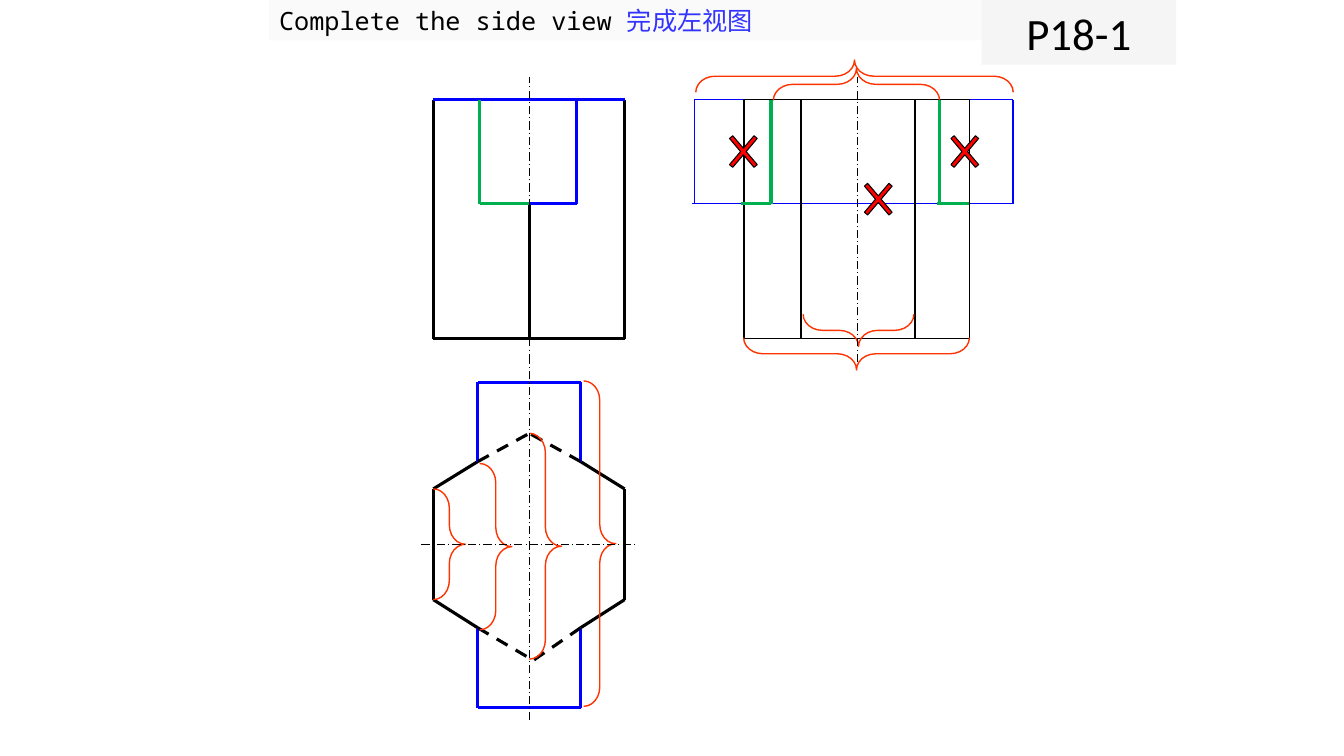
"""Build the slide on completing the side view of a hexagonal prism."""
from lxml import etree
from pptx import Presentation
from pptx.dml.color import RGBColor
from pptx.enum import dml, shapes, text
from pptx.oxml import ns
from pptx.util import Cm, Pt

BLACK = RGBColor(0x00, 0x00, 0x00)
BLUE = RGBColor(0x00, 0x00, 0xFF)
GREEN = RGBColor(0x00, 0xB0, 0x50)
ORANGE = RGBColor(0xFF, 0x33, 0x00)
RED = RGBColor(0xFF, 0x00, 0x00)
TITLE_BLUE = RGBColor(0x33, 0x33, 0xFF)
TITLE_FILL = RGBColor(0xFA, 0xFA, 0xFA)
PAGE_FILL = RGBColor(0xF5, 0xF5, 0xF5)

DASH = dml.MSO_LINE.DASH
AXIS = dml.MSO_LINE.LONG_DASH_DOT
THICK, THIN, FINE = 2.25, 1, 0.75

TOP, NOTCH, BASE = 2.51, 5.13, 8.53
LEFT, MID, RIGHT = 10.92, 13.34, 15.74
BAR_L, BAR_R = 12.04, 14.63
SLOT_L, SLOT_R = 12.09, 14.53
BAR_TOP, BAR_BASE = 9.63, 17.83
CUT_TOP, CUT_BASE = 11.63, 15.82
HEX_TOP, HEX_BASE = 12.32, 15.11
SIDE_L, SIDE_R, SIDE_MID = 18.75, 24.43, 21.62
WING_L, WING_R = 17.5, 25.53
CUT_L, CUT_R = 19.43, 23.67
EDGE_L, EDGE_R = 20.19, 23.06
BRACE = 0.81


def add_line(s, x1, y1, x2, y2, color, width, dash=None):
    """Draw one straight line."""
    c = s.shapes.add_connector(shapes.MSO_CONNECTOR.STRAIGHT,
                               Cm(x1), Cm(y1), Cm(x2), Cm(y2))
    c.line.color.rgb = color
    c.line.width = Pt(width)
    if dash:
        c.line.dash_style = dash
    etree.SubElement(c._element.spPr, ns.qn("a:effectLst"))


def add_lines(s, ends, color, width, dash=None):
    """Draw several lines of one style."""
    for end in ends:
        add_line(s, *end, color, width, dash)


def add_outline(s, kind, box, width, color=BLACK, fill=None):
    """Draw a preset shape with an outline and an optional fill."""
    sp = s.shapes.add_shape(kind, *map(Cm, box))
    sp.shadow.inherit = False
    sp.line.color.rgb = color
    sp.line.width = Pt(width)
    if fill is None:
        sp.fill.background()
    else:
        sp.fill.solid()
        sp.fill.fore_color.rgb = fill
    return sp


def add_brace(s, x, y, length, rotation=0):
    """Draw a dimension brace."""
    sp = add_outline(s, shapes.MSO_SHAPE.RIGHT_BRACE, (x, y, BRACE, length), THIN, ORANGE)
    sp.adjustments[0] = 0.6
    sp.adjustments[1] = 0.5
    sp.rotation = rotation


def add_cross(s, x, y):
    """Draw a red cross on an edge to remove."""
    sp = add_outline(s, shapes.MSO_SHAPE.MATH_MULTIPLY, (x, y, 1.19, 1.4), FINE, fill=RED)
    sp.adjustments[0] = 0.09


def add_run(p, words, size, font, color):
    """Append a run with its font for Latin and East Asian text."""
    r = p.add_run()
    r.text = words
    r.font.size = Pt(size)
    r.font.name = font
    r.font.color.rgb = color
    etree.SubElement(r._r.get_or_add_rPr(), ns.qn("a:ea")).set("typeface", font)


def format_label(sp, box, fill, align):
    """Place and fill a label and return its first paragraph."""
    sp.left, sp.top, sp.width, sp.height = map(Cm, box)
    sp.fill.solid()
    sp.fill.fore_color.rgb = fill
    tf = sp.text_frame
    tf.word_wrap = True
    tf.auto_size = text.MSO_AUTO_SIZE.NONE
    tf.vertical_anchor = text.MSO_ANCHOR.MIDDLE
    p = tf.paragraphs[0]
    p.alignment = align
    return p


def draw_title(s):
    """Write the heading."""
    p = format_label(s.shapes.title, (6.78, 0, 17.96, 1.02), TITLE_FILL, text.PP_ALIGN.LEFT)
    add_run(p, "Complete the side view ", 18, "Noto Sans Mono", BLACK)
    add_run(p, "完成左视图", 18, "Noto Sans CJK SC", TITLE_BLUE)


def draw_page_label(s):
    """Write the exercise number."""
    sp = s.shapes.add_textbox(0, 0, 0, 0)
    p = format_label(sp, (24.74, 0, 4.9, 1.63), PAGE_FILL, text.PP_ALIGN.CENTER)
    add_run(p, "P18-1", 32, "Calibri", BLACK)


def draw_top_view(s):
    """Draw the hexagon and the bar crossing it."""
    for corner, cut, tip, end in ((HEX_TOP, CUT_TOP, (MID, 10.92), BAR_TOP),
                                  (HEX_BASE, CUT_BASE, (13.44, 16.64), BAR_BASE)):
        for side, bar in ((LEFT, BAR_L), (RIGHT, BAR_R)):
            add_line(s, side, corner, bar, cut, BLACK, THICK)
            add_line(s, bar, cut, bar, end, BLUE, THICK)
            add_line(s, bar, cut, *tip, BLACK, THICK, DASH)
        add_line(s, BAR_L, end, BAR_R, end, BLUE, THICK)
    add_lines(s, [(x, HEX_TOP, x, HEX_BASE) for x in (LEFT, RIGHT)], BLACK, THICK)


def draw_front_view(s):
    """Draw the prism with its slot."""
    add_lines(s, [(LEFT, BASE, LEFT, TOP), (RIGHT, BASE, RIGHT, TOP),
                  (LEFT, BASE, RIGHT, BASE), (MID, BASE, MID, NOTCH)], BLACK, THICK)
    add_lines(s, [(LEFT, TOP, RIGHT, TOP), (SLOT_L, NOTCH, SLOT_L, TOP),
                  (SLOT_R, NOTCH, SLOT_R, TOP), (SLOT_L, NOTCH, SLOT_R, NOTCH)], BLUE, THICK)


def draw_side_view(s):
    """Draw the side view with the edges still to be removed."""
    add_lines(s, [(WING_L, NOTCH, WING_L, TOP), (WING_L, TOP, WING_R, TOP),
                  (WING_R, NOTCH, WING_R, TOP), (17.45, NOTCH, WING_R, NOTCH)], BLUE, THIN)
    add_lines(s, [(x, TOP, x, BASE) for x in (EDGE_L, EDGE_R)], BLACK, THIN)
    add_outline(s, shapes.MSO_SHAPE.RECTANGLE,
                (SIDE_L, TOP, SIDE_R - SIDE_L, BASE - TOP), THIN)


def draw_marks(s):
    """Add the braces, crosses, axes and green cut edges."""
    for brace in ((MID, 10.92, 5.69), (14.71, 9.6, 8.2), (LEFT, HEX_TOP, 2.79),
                  (SLOT_L, 11.68, 4.19), (21.18, 6.07, 5.69, 90), (21.23, 6.93, 2.79, 90),
                  (21.13, -2.08, 8, 270), (21.18, 0.03, 4.19, 270)):
        add_brace(s, *brace)
    for x, y in ((18.14, 3.12), (23.72, 3.12), (21.54, 4.32)):
        add_cross(s, x, y)
    add_lines(s, [(SIDE_MID, 9.12, SIDE_MID, 1.93), (10.62, 13.72, 16, 13.72),
                  (MID, 9.12, MID, 1.93), (MID, 18.14, MID, 9.12)], BLACK, FINE, AXIS)
    add_lines(s, [(x, NOTCH, x, TOP) for x in (SLOT_L, CUT_L, CUT_R)], GREEN, THICK)
    add_lines(s, [(CUT_L, NOTCH, 18.67, NOTCH), (SIDE_R, NOTCH, 23.62, NOTCH),
                  (MID, NOTCH, SLOT_L, NOTCH)], GREEN, THICK)


def main():
    """Build and save the slide."""
    prs = Presentation()
    prs.slide_width, prs.slide_height = Cm(33.87), Cm(19.05)
    s = prs.slides.add_slide(prs.slide_layouts[5])
    draw_title(s)
    draw_top_view(s)
    draw_front_view(s)
    draw_side_view(s)
    draw_marks(s)
    draw_page_label(s)
    prs.save("out.pptx")


if __name__ == "__main__":
    main()
